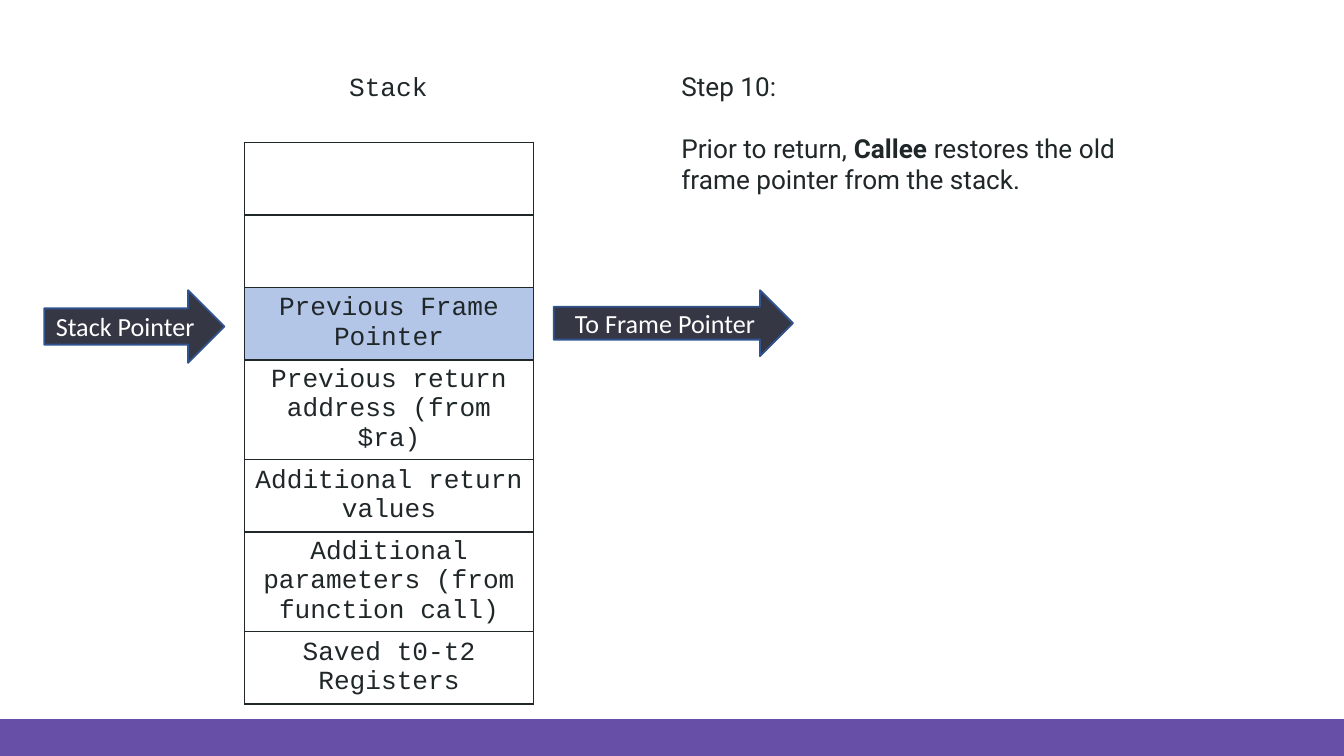
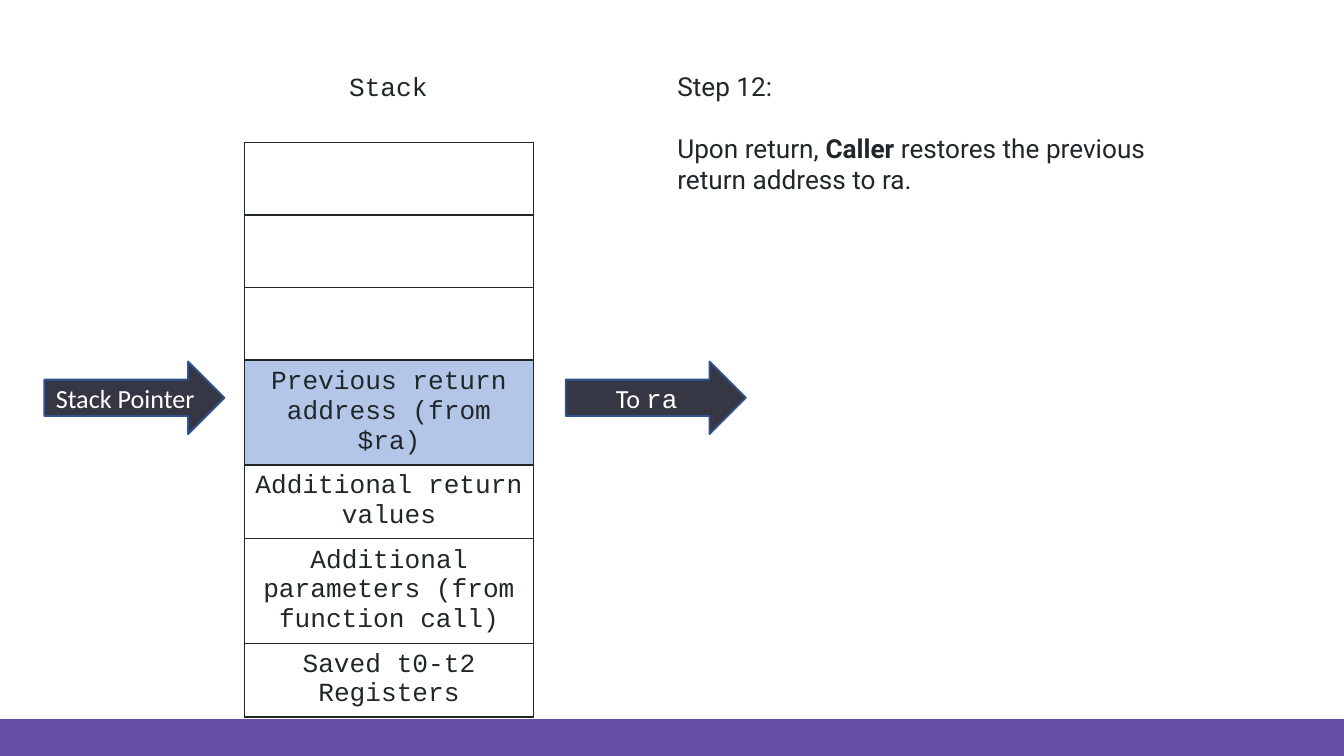
from lxml import etree
from pptx import Presentation
from pptx.dml.color import RGBColor
from pptx.enum.shapes import MSO_SHAPE
from pptx.enum.text import MSO_ANCHOR, MSO_AUTO_SIZE, PP_ALIGN
from pptx.oxml.ns import qn
from pptx.util import Inches, Pt

RECTANGLE, RIGHT_ARROW = MSO_SHAPE.RECTANGLE, MSO_SHAPE.RIGHT_ARROW
TOP, MIDDLE = MSO_ANCHOR.TOP, MSO_ANCHOR.MIDDLE
LEFT, CENTER = PP_ALIGN.LEFT, PP_ALIGN.CENTER
GROW = MSO_AUTO_SIZE.SHAPE_TO_FIT_TEXT

INK = RGBColor(0x20, 0x27, 0x29)
WHITE = RGBColor(0xFF, 0xFF, 0xFF)
PURPLE = RGBColor(0x67, 0x4E, 0xA7)
HIGHLIGHT = RGBColor(0xB3, 0xC6, 0xE7)
ARROW_FILL = RGBColor(0x35, 0x37, 0x44)
ARROW_LINE = RGBColor(0x31, 0x53, 0x8F)
SANS, CODE, LABEL = "Roboto", "Courier New", "Calibri"

# Content: a run is (text, style), where style may hold "bold" or "font"
STACK = [
    "",
    "",
    "Previous Frame Pointer",
    "Previous return address (from $ra)",
    "Additional return values",
    "Additional parameters (from function call)",
    "Saved t0-t2 Registers",
]
STEPS = [
    {
        "title": "Step 10:",
        "body": [("Prior to return, ", {}), ("Callee ", {"bold": True}),
                 ("restores the old frame pointer from the stack.", {})],
        "text_left": 5,
        "top_row": 2,
        "arrow_top": 2.16,
        "target": [("To Frame Pointer", {})],
        "target_box": (4.12, 1.78, 0.49),
    },
    {
        "title": "Step 12:",
        "body": [("Upon return, ", {}), ("Caller ", {"bold": True}),
                 ("restores the previous return address to ra.", {})],
        "text_left": 4.97,
        "top_row": 3,
        "arrow_top": 2.69,
        "target": [("To ", {}), ("ra", {"font": CODE})],
        "target_box": (4.21, 1.34, 0.54),
    },
]

# Layout in inches
SLIDE_WIDTH = 10
SLIDE_HEIGHT = SLIDE_WIDTH * 9 / 16
BAND_TOP = 5.35
STACK_LEFT, STACK_TOP, STACK_WIDTH, ROW_HEIGHT = 1.82, 1.06, 2.15, 0.54
FRAME_WIDTH = FRAME_HEIGHT = 3.28
POINTER_LEFT, POINTER_WIDTH, POINTER_HEIGHT = 0.33, 1.34, 0.54
PARAGRAPH_GAP = Pt(16.5)


def write_text(frame, paragraphs, font=SANS, color=INK, align=LEFT, size=14):
    """Fill a text frame; each paragraph is a list of runs."""
    for index, runs in enumerate(paragraphs):
        paragraph = frame.add_paragraph() if index else frame.paragraphs[0]
        paragraph.alignment = align
        if index:
            paragraph.space_before = PARAGRAPH_GAP
        for text, style in runs:
            run = paragraph.add_run()
            run.text = text
            run.font.name = style.get("font", font)
            run.font.size = Pt(size)
            run.font.bold = style.get("bold", False)
            run.font.color.rgb = color


def set_frame(frame, anchor):
    frame.word_wrap = True
    frame.vertical_anchor = anchor
    frame.margin_left = frame.margin_right = Inches(0.07)
    frame.margin_top = frame.margin_bottom = Inches(0.04)


def add_text(slide, box, paragraphs, **style):
    frame = slide.shapes.add_textbox(*map(Inches, box)).text_frame
    set_frame(frame, TOP)
    frame.auto_size = GROW
    write_text(frame, paragraphs, **style)


def add_filled_shape(slide, kind, box, fill):
    shape = slide.shapes.add_shape(kind, *map(Inches, box))
    shape.shadow.inherit = False
    shape.fill.solid()
    shape.fill.fore_color.rgb = fill
    shape.line.fill.background()
    return shape


def add_arrow(slide, box, runs):
    arrow = add_filled_shape(slide, RIGHT_ARROW, box, ARROW_FILL)
    arrow.line.color.rgb = ARROW_LINE
    arrow.line.width = Pt(1)
    set_frame(arrow.text_frame, MIDDLE)
    write_text(arrow.text_frame, [runs], font=LABEL, color=WHITE, align=CENTER)


def set_borders(cell):
    properties = cell._tc.get_or_add_tcPr()
    for side in ("a:lnL", "a:lnR", "a:lnT", "a:lnB"):
        line = etree.SubElement(properties, qn(side), w=str(Pt(1)))
        fill = etree.SubElement(line, qn("a:solidFill"))
        etree.SubElement(fill, qn("a:srgbClr"), val=str(INK))


def add_stack(slide, top_row):
    """Draw the stack; rows above top_row are already popped."""
    frame = slide.shapes.add_table(
        len(STACK), 1, Inches(STACK_LEFT), Inches(STACK_TOP),
        Inches(FRAME_WIDTH), Inches(FRAME_HEIGHT))
    table = frame.table
    table.first_row = table.horz_banding = False
    table.columns[0].width = Inches(STACK_WIDTH)
    for index, label in enumerate(STACK):
        table.rows[index].height = Inches(ROW_HEIGHT)
        cell = table.cell(index, 0)
        cell.vertical_anchor = MIDDLE
        cell.margin_left = cell.margin_right = Inches(0.08)
        cell.margin_top = cell.margin_bottom = Inches(0.04)
        set_borders(cell)
        if index == top_row:
            cell.fill.solid()
            cell.fill.fore_color.rgb = HIGHLIGHT
        else:
            cell.fill.background()
        if index >= top_row:
            write_text(cell.text_frame, [[(label, {})]], font=CODE, align=CENTER)
    # Rows grow with their text, so the frame keeps its own smaller size
    frame.width, frame.height = Inches(FRAME_WIDTH), Inches(FRAME_HEIGHT)


def add_master_band(presentation, slide):
    """Draw the bottom band and move it to the slide master."""
    box = (0, BAND_TOP, SLIDE_WIDTH, SLIDE_HEIGHT - BAND_TOP)
    band = add_filled_shape(slide, RECTANGLE, box, PURPLE)
    band.element.nvSpPr.cNvPr.set("id", "100")
    presentation.slide_master.element.cSld.spTree.append(band.element)


def add_step(slide, step):
    add_stack(slide, step["top_row"])
    add_text(slide, (2.02, 0.48, 1.74, 0.31), [[("Stack", {})]],
             font=CODE, align=CENTER)
    add_text(slide, (step["text_left"], 0.48, 3.8, 1.02),
             [[(step["title"], {})], step["body"]])
    # Arrows into and out of the highlighted row
    top = step["arrow_top"]
    add_arrow(slide, (POINTER_LEFT, top, POINTER_WIDTH, POINTER_HEIGHT),
              [("Stack Pointer", {})])
    left, width, height = step["target_box"]
    add_arrow(slide, (left, top, width, height), step["target"])


def main():
    presentation = Presentation()
    presentation.slide_width = Inches(SLIDE_WIDTH)
    presentation.slide_height = Inches(SLIDE_HEIGHT)
    blank = presentation.slide_layouts[6]
    slides = [presentation.slides.add_slide(blank) for _ in STEPS]
    add_master_band(presentation, slides[0])
    for slide, step in zip(slides, STEPS):
        add_step(slide, step)
    presentation.save("out.pptx")


if __name__ == "__main__":
    main()
